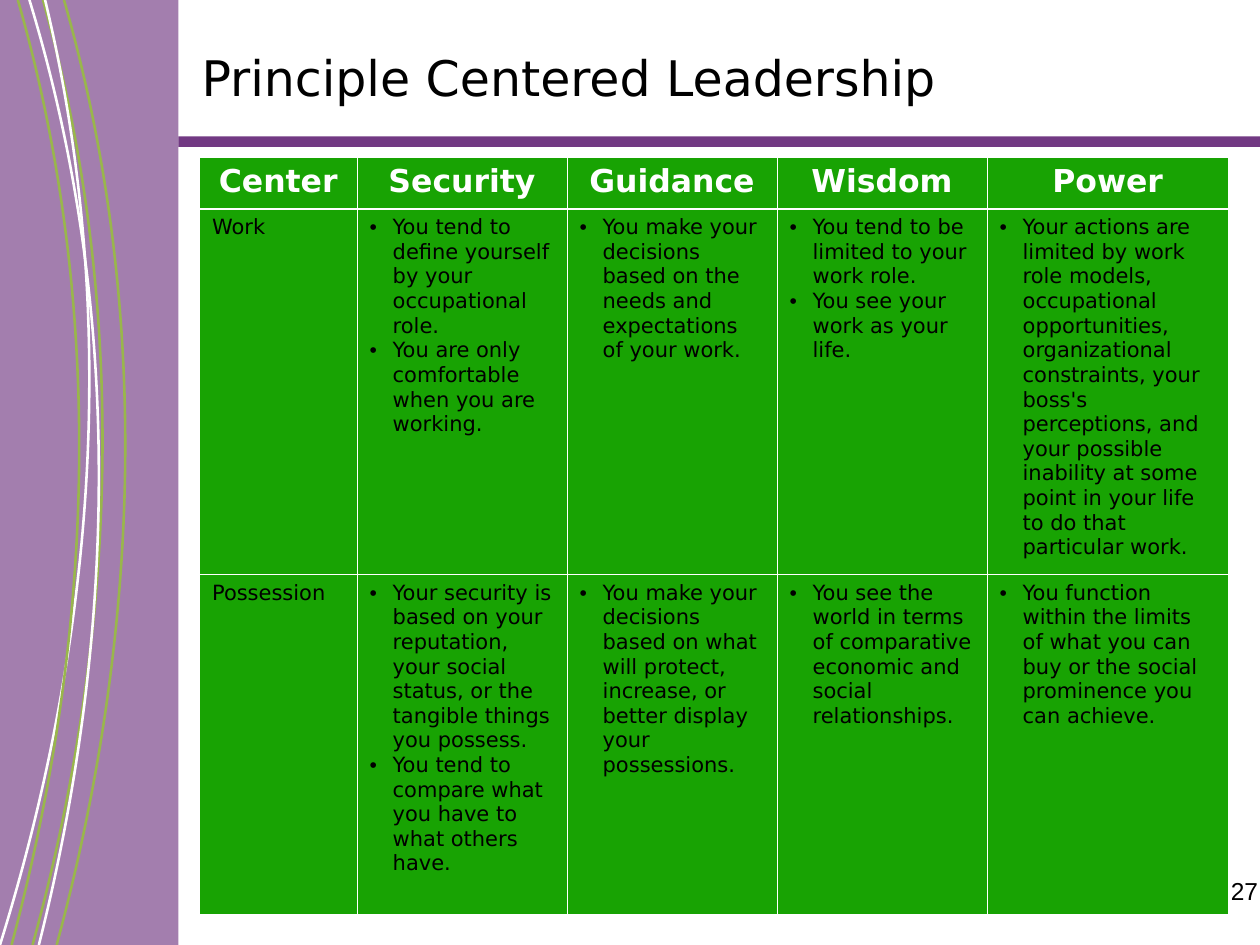
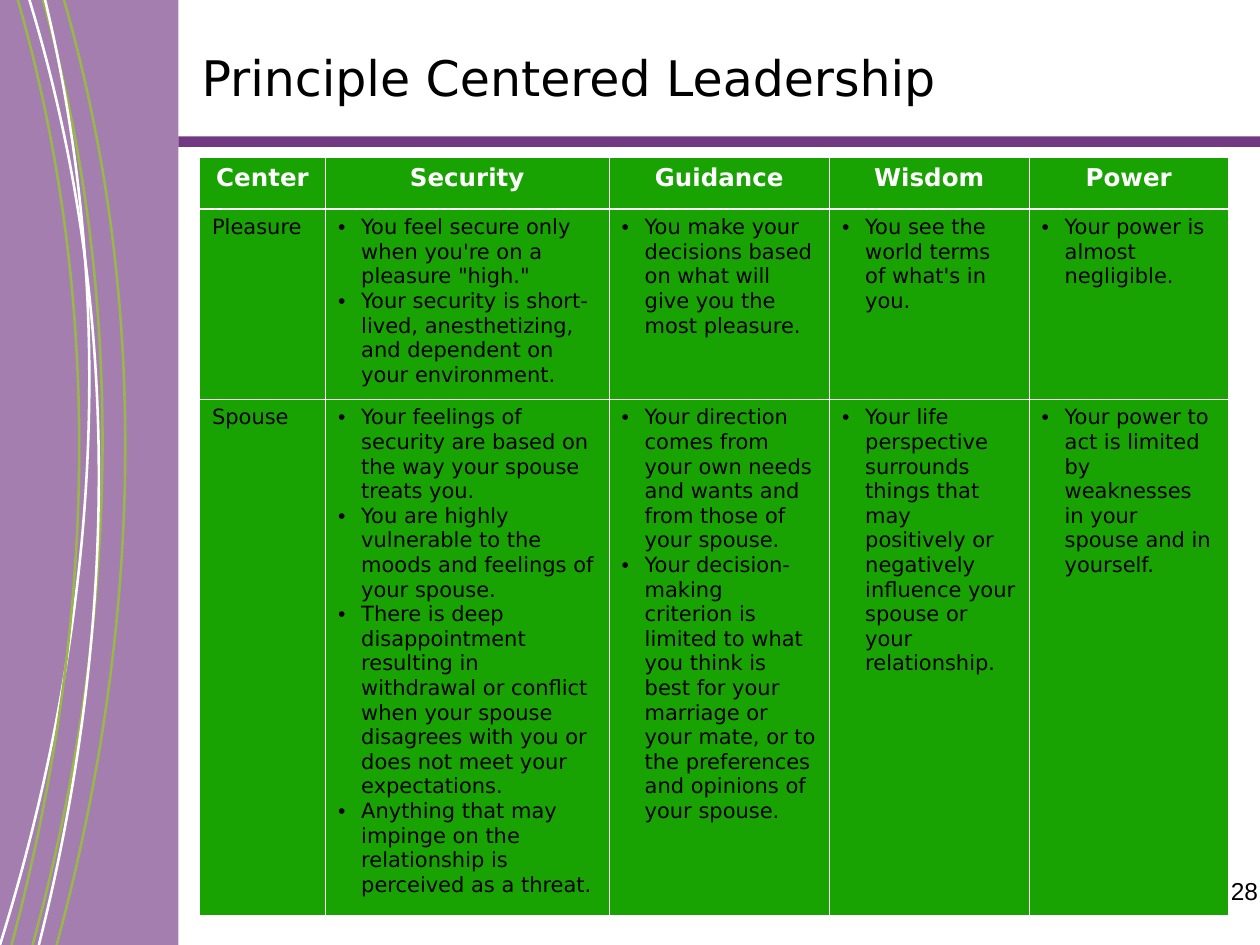
import pptx
import pptx.dml.color
import pptx.enum.shapes
import pptx.enum.text
import pptx.oxml
import pptx.oxml.ns
import pptx.util
import lxml.etree

PX = 7620
PURPLE = pptx.dml.color.RGBColor(0x72, 0x39, 0x83)
LEAF = pptx.dml.color.RGBColor(0x99, 0xB6, 0x4C)
CURVE_WHITE = pptx.dml.color.RGBColor(0xFF, 0xFF, 0xFE)
GREEN = pptx.dml.color.RGBColor(0x18, 0xA3, 0x03)
WHITE = pptx.dml.color.RGBColor(0xFF, 0xFF, 0xFF)
BLACK = pptx.dml.color.RGBColor(0x00, 0x00, 0x00)
BODY_FONT = "DejaVu Sans"
ALIGN = pptx.enum.text.PP_ALIGN
ANCHOR = pptx.enum.text.MSO_ANCHOR
RECTANGLE = pptx.enum.shapes.MSO_SHAPE.RECTANGLE
NAMESPACE = pptx.oxml.ns.nsdecls("a")
TITLE = "Principle Centered Leadership"
HEADINGS = ["Center", "Security", "Guidance", "Wisdom", "Power"]
BULLET_INDENT = 22

BARS = [
    ((170, 130, 1030, 10), 100),
    ((0, 0, 170, 900), 65),
]
CURVES = [
    (LEAF, [(41, 0), (138, 346), (94, 671), (31, 900)]),
    (LEAF, [(54, 900), (116, 671), (160, 346), (61, 0)]),
    (CURVE_WHITE, [(28, 0), (133, 344), (95, 671), (37, 900)]),
    (CURVE_WHITE, [(43, 0), (127, 349), (71, 673), (0, 900)]),
    (LEAF, [(17, 0), (116, 346), (72, 671), (11, 900)]),
]

PAGES = [
    {
        "number": "27",
        "heading_size": 18,
        "columns": [150, 200, 200, 200, 230],
        "rows": [49, 348, 324],
        "centers": [
            ("Work", [
                ["You tend to define yourself by your occupational role.",
                 "You are only comfortable when you are working."],
                ["You make your decisions based on the needs and expectations of your work."],
                ["You tend to be limited to your work role.",
                 "You see your work as your life."],
                ["Your actions are limited by work role models, occupational opportunities, "
                 "organizational constraints, your boss's perceptions, and your possible "
                 "inability at some point in your life to do that particular work."],
            ]),
            ("Possession", [
                ["Your security is based on your reputation, your social status, "
                 "or the tangible things you possess.",
                 "You tend to compare what you have to what others have."],
                ["You make your decisions based on what will protect, increase, "
                 "or better display your possessions."],
                ["You see the world in terms of comparative economic and social relationships."],
                ["You function within the limits of what you can buy or the social "
                 "prominence you can achieve."],
            ]),
        ],
    },
    {
        "number": "28",
        "heading_size": 14,
        "columns": [120, 270, 210, 190, 190],
        "rows": [49, 181, 490],
        "centers": [
            ("Pleasure", [
                ["You feel secure only when you're on a pleasure \"high.\"",
                 "Your security is short-lived, anesthetizing, and dependent on your environment."],
                ["You make your decisions based on what will give you the most pleasure."],
                ["You see the world terms of what's in you."],
                ["Your power is almost negligible."],
            ]),
            ("Spouse", [
                ["Your feelings of security are based on the way your spouse treats you.",
                 "You are highly vulnerable to the moods and feelings of your spouse.",
                 "There is deep disappointment resulting in withdrawal or conflict when your "
                 "spouse disagrees with you or does not meet your expectations.",
                 "Anything that may impinge on the relationship is perceived as a threat."],
                ["Your direction comes from your own needs and wants and from those of your spouse.",
                 "Your decision-making criterion is limited to what you think is best for your "
                 "marriage or your mate, or to the preferences and opinions of your spouse."],
                ["Your life perspective surrounds things that may positively or negatively "
                 "influence your spouse or your relationship."],
                ["Your power to act is limited by weaknesses in your spouse and in yourself."],
            ]),
        ],
    },
]


def write(para, text, color, align=ALIGN.LEFT, **font_values):
    para.alignment = align
    span = para.add_run()
    span.text = text
    span.font.color.rgb = color
    for name, value in {"name": BODY_FONT, "bold": False, **font_values}.items():
        setattr(span.font, name, value)


def add_borders(cell, widths):
    properties = cell._tc.get_or_add_tcPr()
    for side, width in widths.items():
        properties.append(pptx.oxml.parse_xml(
            f'<a:ln{side} {NAMESPACE} w="{pptx.util.Pt(width)}"><a:solidFill>'
            f'<a:srgbClr val="{WHITE}"/></a:solidFill></a:ln{side}>'))


deck = pptx.Presentation()
deck.slide_width = 1200 * PX
deck.slide_height = 900 * PX
layout = deck.slide_layouts[5]
for holder in list(layout.placeholders):
    if holder.placeholder_format.idx != 0:
        layout.shapes.element.remove(holder.element)
slides = [deck.slides.add_slide(layout) for page in PAGES]

decorations = []
for bounds, opacity in BARS:
    bar = slides[0].shapes.add_shape(RECTANGLE, *[length * PX for length in bounds])
    bar.fill.solid()
    bar.fill.fore_color.rgb = PURPLE
    bar.line.fill.background()
    if opacity < 100:
        color_element = bar.element.spPr.find(".//" + pptx.oxml.ns.qn("a:srgbClr"))
        lxml.etree.SubElement(color_element, pptx.oxml.ns.qn("a:alpha"), val=str(opacity * 1000))
    decorations.append(bar)

for color, controls in CURVES:
    outline = slides[0].shapes.build_freeform(*controls[0], scale=PX)
    outline.add_line_segments(controls[1:], close=False)
    curve = outline.convert_to_shape()
    route = curve.element.spPr.find(".//" + pptx.oxml.ns.qn("a:path"))
    bezier = lxml.etree.SubElement(route, pptx.oxml.ns.qn("a:cubicBezTo"))
    for segment in route.findall(pptx.oxml.ns.qn("a:lnTo")):
        bezier.append(segment[0])
        route.remove(segment)
    curve.fill.background()
    curve.line.color.rgb = color
    curve.line.width = pptx.util.Pt(1.47)
    decorations.append(curve)

for position, decoration in enumerate(decorations, start=2):
    decoration.shadow.inherit = False
    layout.shapes.element.insert(position, decoration.element)

for slide, page in zip(slides, PAGES):
    title = slide.shapes.title
    for name, value in {"left": 180, "top": 20, "width": 1020, "height": 106}.items():
        setattr(title, name, value * PX)
    title.text_frame.auto_size = pptx.enum.text.MSO_AUTO_SIZE.NONE
    title.text_frame.vertical_anchor = ANCHOR.MIDDLE
    write(title.text_frame.paragraphs[0], TITLE, BLACK, size=pptx.util.Pt(28))

    number_box = slide.shapes.add_textbox(930 * PX, 828 * PX, 280 * PX, 62 * PX)
    number_box.text_frame.word_wrap = True
    write(number_box.text_frame.paragraphs[0], page["number"], BLACK, ALIGN.RIGHT,
          name="Arial", size=pptx.util.Pt(14))

    table = slide.shapes.add_table(
        len(page["rows"]), len(HEADINGS), 190 * PX, 150 * PX,
        sum(page["columns"]) * PX, sum(page["rows"]) * PX).table
    table.horz_banding = False
    for column, width in zip(table.columns, page["columns"]):
        column.width = width * PX
    for row, height in zip(table.rows, page["rows"]):
        row.height = height * PX

    for row_index in range(len(page["rows"])):
        for column_index in range(len(HEADINGS)):
            cell = table.cell(row_index, column_index)
            add_borders(cell, {"L": 0.23, "R": 0.23,
                               "T": 0.75 if row_index == 1 else 0.23,
                               "B": 0.75 if row_index == 0 else 0.23})
            cell.fill.solid()
            cell.fill.fore_color.rgb = GREEN

    for column_index, heading in enumerate(HEADINGS):
        write(table.cell(0, column_index).text_frame.paragraphs[0], heading, WHITE,
              ALIGN.CENTER, size=pptx.util.Pt(page["heading_size"]), bold=True)

    for row_index, (center, effects) in enumerate(page["centers"], start=1):
        write(table.cell(row_index, 0).text_frame.paragraphs[0], center, BLACK, size=pptx.util.Pt(12))
        for column_index, statements in enumerate(effects, start=1):
            frame = table.cell(row_index, column_index).text_frame
            for index, statement in enumerate(statements):
                para = frame.add_paragraph() if index else frame.paragraphs[0]
                properties = para._p.get_or_add_pPr()
                properties.set("marL", str(BULLET_INDENT * PX))
                properties.set("indent", str(-BULLET_INDENT * PX))
                for bullet_part in (f'<a:buClr {NAMESPACE}><a:srgbClr val="{BLACK}"/></a:buClr>',
                                    f'<a:buFont {NAMESPACE} typeface="Arial"/>',
                                    f'<a:buChar {NAMESPACE} char="•"/>'):
                    properties.append(pptx.oxml.parse_xml(bullet_part))
                write(para, statement, BLACK, size=pptx.util.Pt(12))

deck.save("out.pptx")
